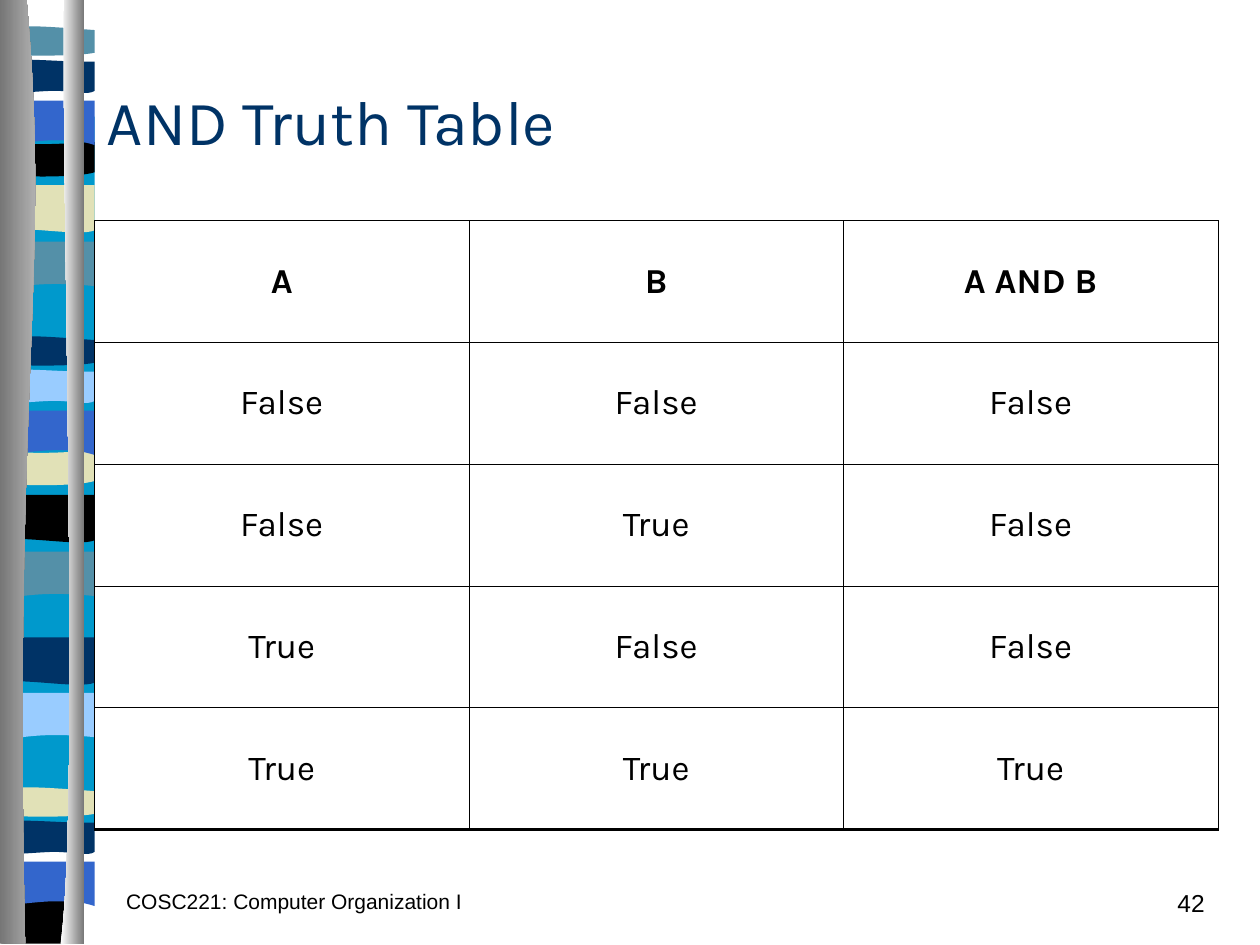
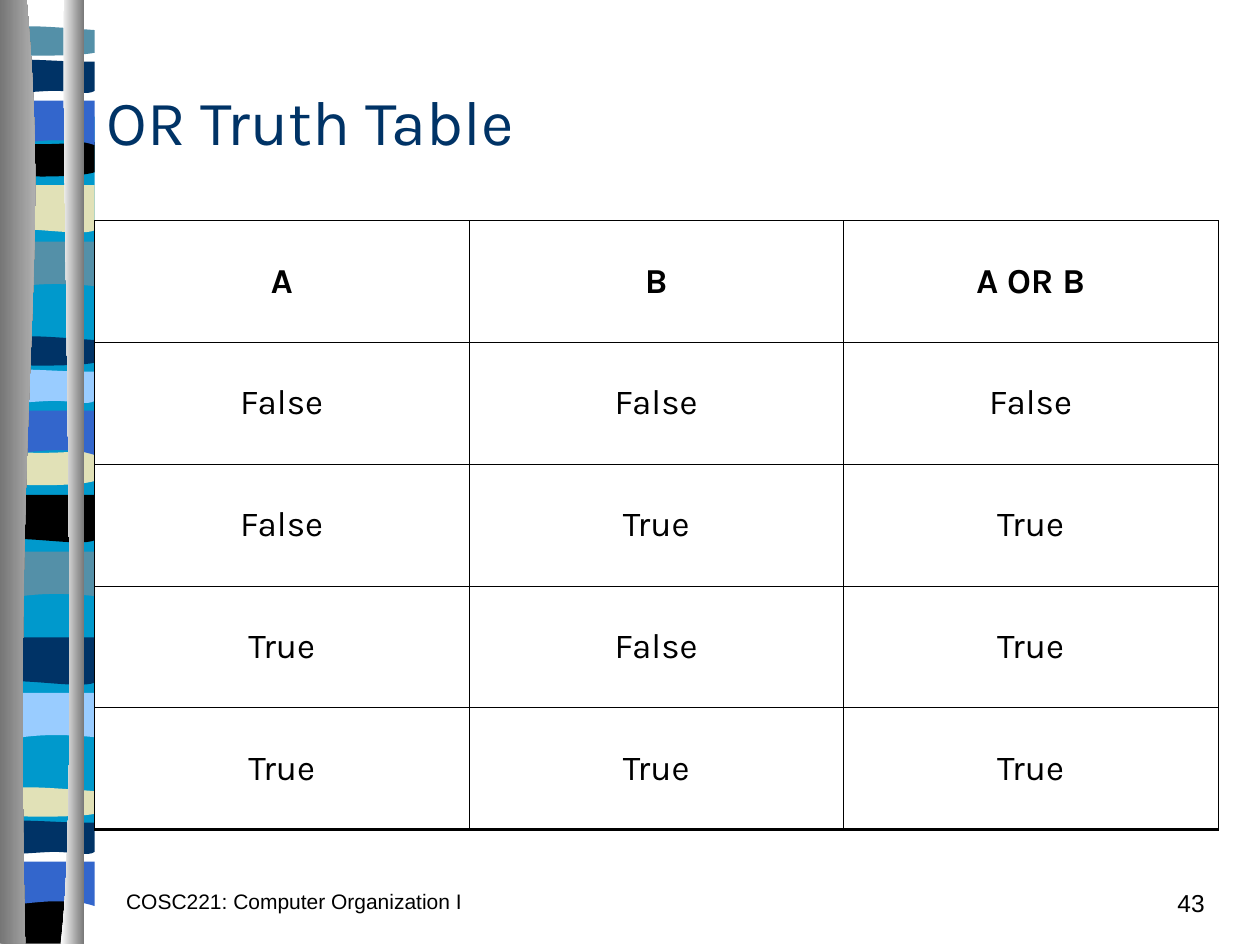
from dataclasses import dataclass
from itertools import product
from typing import Callable

from lxml import etree
from pptx import Presentation
from pptx.dml.color import RGBColor
from pptx.enum.text import MSO_ANCHOR as Anchor, PP_ALIGN as Align
from pptx.oxml.ns import qn
from pptx.util import Inches, Pt

# Colours and fonts
BLACK = RGBColor(0x00, 0x00, 0x00)
WHITE = RGBColor(0xFF, 0xFF, 0xFF)
NAVY = RGBColor(0x00, 0x33, 0x66)
CYAN = RGBColor(0x00, 0x99, 0xCC)
TEAL = RGBColor(0x54, 0x90, 0xA8)
SAND = RGBColor(0xE1, 0xE1, 0xB7)
BLUE = RGBColor(0x33, 0x66, 0xCC)
SKY = RGBColor(0x99, 0xCC, 0xFF)
STEEL = RGBColor(0x76, 0x76, 0x76)
SILVER = RGBColor(0xCC, 0xCC, 0xCC)
HEADING_FONT, FOOTER_FONT = "Karla", "Arial"

Point = tuple[float, float]


@dataclass(frozen=True)
class Outline:
    """Start point, then steps: one point is a line, three are a Bezier curve."""
    height: float
    start: Point
    steps: tuple[tuple[Point, ...], ...]


@dataclass(frozen=True)
class Band:
    outline: Outline
    top: float
    color: RGBColor
    stretched: bool = True


@dataclass(frozen=True)
class Pole:
    outline: Outline
    left_color: RGBColor
    right_color: RGBColor


@dataclass(frozen=True)
class TruthTable:
    operator: str
    rule: Callable[[bool, bool], bool]
    number: int


# Band outlines, measured from the band's own top left corner
BAND_LEFT, BAND_WIDTH = 0.03, 0.62
STRETCH_X, STRETCH_Y = 1.33, 0.75
SHEET = Outline(7.48, (0.62, 0), (
    ((0.62, 7.48),), ((0, 7.48),), ((0, 0),), ((0.62, 0),)))
SWELL = Outline(0.55, (0.62, 0), (
    ((0.62, 0), (0.62, 0.47), (0.62, 0.47)),
    ((0.19, 0.39), (0.1, 0.55), (0, 0.47)), ((0, 0),), ((0.62, 0),)))
DIP = Outline(0.55, (0.62, 0), (
    ((0.62, 0.48),), ((0.52, 0.55), (0.19, 0.42), (0, 0.48)),
    ((0, 0),), ((0.62, 0),)))
LENS = Outline(0.33, (0.62, 0.05), (
    ((0.62, 0.29),), ((0.52, 0.33), (0.1, 0.33), (0, 0.29)), ((0, 0.05),),
    ((0.04, 0), (0.14, 0.01), (0.24, 0.01)),
    ((0.34, 0.01), (0.54, 0.04), (0.62, 0.05))))
BOWL = Outline(0.38, (0.62, 0), (
    ((0.62, 0.32),), ((0.52, 0.38), (0.1, 0.38), (0, 0.32)), ((0, 0),),
    ((0.38, 0.05), (0.49, 0), (0.62, 0))))
ARCH = Outline(0.47, (0.62, 0), (
    ((0.62, 0), (0.62, 0.47), (0.62, 0.47)),
    ((0.53, 0.42), (0.49, 0.42), (0.38, 0.42)),
    ((0.28, 0.42), (0.1, 0.47), (0, 0.47)), ((0, 0),), ((0.62, 0),)))
RIPPLE = Outline(0.41, (0.62, 0.05), (
    ((0.62, 0.36),), ((0.58, 0.41), (0.49, 0.36), (0.38, 0.36)),
    ((0.28, 0.36), (0.07, 0.41), (0, 0.36)), ((0, 0.05),),
    ((0.09, 0), (0.42, 0.05), (0.53, 0.05)),
    ((0.63, 0.05), (0.6, 0.05), (0.62, 0.05))))
FOOT = Outline(0.37, (0.62, 0), (
    ((0.62, 0.37),), ((0, 0.37),), ((0, 0),),
    ((0.38, 0.05), (0.49, 0), (0.62, 0))))

BANDS = (
    Band(SHEET, -0.01, CYAN),
    Band(SWELL, 1.85, TEAL), Band(DIP, 1.4, SAND), Band(LENS, 0.16, TEAL),
    Band(BOWL, 1.08, BLACK), Band(ARCH, 0.74, BLUE), Band(RIPPLE, 0.4, NAVY),
    Band(SWELL, 4.31, TEAL), Band(DIP, 3.86, BLACK), Band(LENS, 2.62, NAVY),
    Band(BOWL, 3.53, SAND), Band(ARCH, 3.2, BLUE), Band(RIPPLE, 2.86, SKY),
    Band(SWELL, 5.43, SKY), Band(DIP, 4.99, NAVY), Band(LENS, 6.2, SAND),
    Band(FOOT, 7.12, BLACK, stretched=False),
    Band(ARCH, 6.78, BLUE), Band(RIPPLE, 6.44, NAVY),
)

# Poles, measured on the slide
POLES = (
    Pole(Outline(7.5, (0.21, -0.01), (
        ((0.41, 2.16), (0.1, 2.96), (0.2, 7.49)), ((0, 7.49),),
        ((0, -0.01),), ((0.21, -0.01),))), STEEL, SILVER),
    Pole(Outline(7.5, (0.51, -0.01), (
        ((0.48, 1.24), (0.64, 6.46), (0.48, 7.49)), ((0.67, 7.49),),
        ((0.67, 0),), ((0.51, -0.01),))), WHITE, STEEL),
)

# Content geometry, on a grid of twelfths of an inch
CONTENT_LEFT, CONTENT_WIDTH = 0.75, 107 / 12
TABLE_TOP, TABLE_HEIGHT = 1.75, 58 / 12
THIN, THICK = 0.25, 2.25

TABLES = (
    TruthTable("AND", lambda a, b: a and b, 42),
    TruthTable("OR", lambda a, b: a or b, 43),
)


def draw_outline(slide, outline: Outline, place: Callable[[Point], Point]):
    """Build the outline through all its points, then bend each triple into a curve."""
    def to_slide(point: Point) -> tuple[int, int]:
        x, y = place(point)
        return Inches(x), Inches(y)

    builder = slide.shapes.build_freeform(*to_slide(outline.start))
    builder.add_line_segments([to_slide(p) for step in outline.steps for p in step],
                              close=True)
    drawn = builder.convert_to_shape()
    lines = iter(list(drawn._element.iter(qn("a:lnTo"))))
    for step in outline.steps:
        segments = [next(lines) for _ in step]
        if len(segments) == 3:
            curve = etree.Element(qn("a:cubicBezTo"))
            segments[0].addprevious(curve)
            for segment in segments:
                curve.append(segment[0])
                segment.getparent().remove(segment)
    drawn.shadow.inherit = False
    drawn.line.fill.background()
    return drawn


def draw_band(slide, band: Band) -> None:
    scale_x, scale_y = (STRETCH_X, STRETCH_Y) if band.stretched else (1, 1)
    half_width, half_height = BAND_WIDTH / 2, band.outline.height / 2

    def place(point: Point) -> Point:
        return (BAND_LEFT + half_width + (point[0] - half_width) * scale_x,
                band.top + half_height + (point[1] - half_height) * scale_y)

    stripe = draw_outline(slide, band.outline, place)
    stripe.fill.solid()
    stripe.fill.fore_color.rgb = band.color


def draw_pole(slide, pole: Pole) -> None:
    column = draw_outline(slide, pole.outline, lambda point: point)
    column.fill.gradient()
    column.fill.gradient_angle = 0
    stops = column.fill.gradient_stops
    for stop, position, color in zip(stops, (0, 1), (pole.left_color, pole.right_color)):
        stop.position = position
        stop.color.rgb = color


def style_text(frame, text: str, font: str, size: int, color: RGBColor,
               align: Align, bold: bool = False, space_percent: int = 0) -> None:
    paragraph = frame.paragraphs[0]
    paragraph.text = text
    paragraph.alignment = align
    paragraph.font.name = font
    paragraph.font.size = Pt(size)
    paragraph.font.bold = bold
    paragraph.font.color.rgb = color
    if space_percent:
        before = etree.Element(qn("a:spcBef"))
        etree.SubElement(before, qn("a:spcPct"), val=str(space_percent * 1000))
        paragraph._p.get_or_add_pPr().insert(0, before)


def add_text(slide, box: tuple[float, float, float, float], text: str, font: str,
             size: int, color: RGBColor, align: Align, anchor: Anchor = Anchor.TOP,
             space_percent: int = 0) -> None:
    frame = slide.shapes.add_textbox(*map(Inches, box)).text_frame
    frame.word_wrap = True
    frame.vertical_anchor = anchor
    style_text(frame, text, font, size, color, align, space_percent=space_percent)


def set_borders(cell, bottom: float) -> None:
    properties = cell._tc.get_or_add_tcPr()
    for side, width in (("L", THIN), ("R", THIN), ("T", THIN), ("B", bottom)):
        line = etree.SubElement(properties, qn(f"a:ln{side}"), w=str(Pt(width)))
        fill = etree.SubElement(line, qn("a:solidFill"))
        etree.SubElement(fill, qn("a:srgbClr"), val=str(BLACK))


def draw_truth_table(slide, truth: TruthTable) -> None:
    rows = [("A", "B", f"A {truth.operator} B")]
    rows += [(str(a), str(b), str(truth.rule(a, b)))
             for a, b in product((False, True), repeat=2)]
    grid = slide.shapes.add_table(
        len(rows), len(rows[0]), Inches(CONTENT_LEFT), Inches(TABLE_TOP),
        Inches(CONTENT_WIDTH), Inches(TABLE_HEIGHT)).table
    grid.first_row = grid.horz_banding = False
    for r, values in enumerate(rows):
        for c, value in enumerate(values):
            cell = grid.cell(r, c)
            cell.vertical_anchor = Anchor.MIDDLE
            style_text(cell.text_frame, value, HEADING_FONT, 20, BLACK,
                       Align.CENTER, bold=r == 0, space_percent=20)
            set_borders(cell, THICK if r == len(rows) - 1 else THIN)
            cell.fill.background()


def build_slide(deck, truth: TruthTable) -> None:
    slide = deck.slides.add_slide(deck.slide_layouts[6])
    # Decorated left edge
    for band in BANDS:
        draw_band(slide, band)
    for pole in POLES:
        draw_pole(slide, pole)
    # Footer
    add_text(slide, (CONTENT_LEFT, 7, 3.17, 0.33), "COSC221: Computer Organization I",
             FOOTER_FONT, 12, BLACK, Align.CENTER, space_percent=50)
    add_text(slide, (7.58, 7, 2.08, 0.33), str(truth.number),
             FOOTER_FONT, 14, BLACK, Align.RIGHT, space_percent=50)
    # Title and table
    add_text(slide, (CONTENT_LEFT, 0.33, CONTENT_WIDTH, 1.25),
             f"{truth.operator} Truth Table", HEADING_FONT, 36, NAVY,
             Align.LEFT, Anchor.MIDDLE)
    draw_truth_table(slide, truth)


deck = Presentation()
deck.slide_width, deck.slide_height = Inches(10), Inches(7.5)
for truth in TABLES:
    build_slide(deck, truth)
deck.save("out.pptx")
